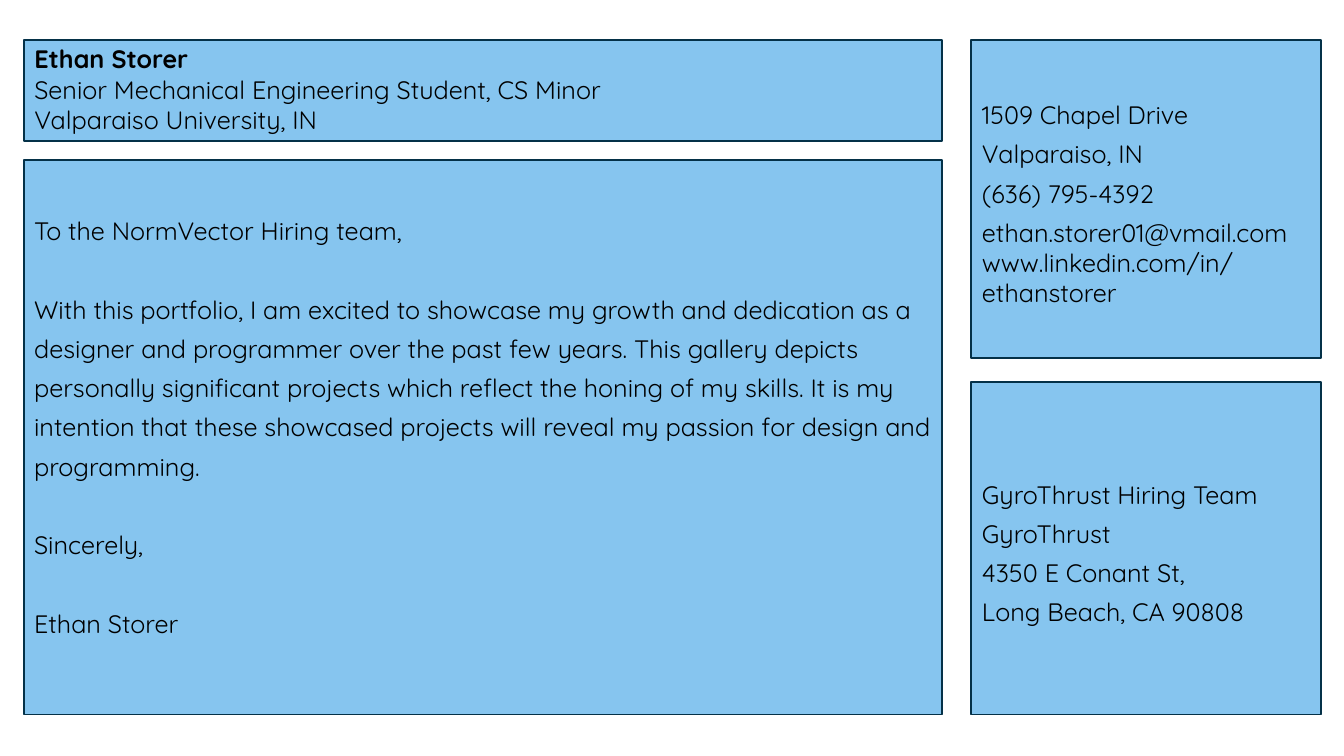
"""Build the cover letter slide of a student portfolio."""
from dataclasses import dataclass

from pptx import Presentation
from pptx.dml.color import RGBColor
from pptx.enum.shapes import MSO_SHAPE
from pptx.enum.text import MSO_ANCHOR, MSO_AUTO_SIZE, PP_ALIGN
from pptx.util import Inches, Pt

RECTANGLE = MSO_SHAPE.RECTANGLE
MIDDLE = MSO_ANCHOR.MIDDLE
NO_AUTOFIT = MSO_AUTO_SIZE.NONE
LEFT = PP_ALIGN.LEFT


@dataclass(frozen=True)
class Theme:
    panel: RGBColor = RGBColor.from_string("86C5EF")
    border: RGBColor = RGBColor.from_string("043148")
    text: RGBColor = RGBColor.from_string("000000")
    font: str = "Quicksand"
    size: Pt = Pt(18)
    border_width: Pt = Pt(1.25)
    blank_line: Pt = Pt(28)


THEME = Theme()
TIGHT, SINGLE, OPEN = 0.9, 1.0, 1.3


def fill_panel(panel, lines, left_inset=0.1, bottom_inset=0.05):
    """Style a panel and write its lines of (text, line spacing)."""
    panel.fill.solid()
    panel.fill.fore_color.rgb = THEME.panel
    panel.line.color.rgb = THEME.border
    panel.line.width = THEME.border_width
    frame = panel.text_frame
    frame.word_wrap = True
    frame.auto_size = NO_AUTOFIT
    frame.vertical_anchor = MIDDLE
    frame.margin_left = Inches(left_inset)
    frame.margin_bottom = Inches(bottom_inset)
    frame.text = "\n".join(text for text, _ in lines)
    for paragraph, (_, spacing) in zip(frame.paragraphs, lines):
        paragraph.alignment = LEFT
        paragraph.line_spacing = spacing
        paragraph.font.name = THEME.font
        paragraph.font.size = THEME.size
        paragraph.font.color.rgb = THEME.text
    return frame.paragraphs


def add_panel(left, top, width, height):
    """Add a plain rectangle, measured in inches."""
    panel = slide.shapes.add_shape(
        RECTANGLE, Inches(left), Inches(top), Inches(width), Inches(height))
    panel.shadow.inherit = False
    return panel


presentation = Presentation()
presentation.slide_width = Inches(13.33)
presentation.slide_height = Inches(7.5)
slide = presentation.slides.add_slide(presentation.slide_layouts[5])

main_left, main_width = 0.24, 9.1
side_left, side_width = 9.63, 3.47
top = 0.4

applicant = slide.shapes.title
applicant.left, applicant.top = Inches(main_left), Inches(top)
applicant.width, applicant.height = Inches(main_width), Inches(1)
applicant_lines = fill_panel(applicant, [
    ("Ethan Storer", TIGHT),
    ("Senior Mechanical Engineering Student, CS Minor", SINGLE),
    ("Valparaiso University, IN", SINGLE),
])
applicant_lines[0].font.bold = True

letter_lines = fill_panel(add_panel(main_left, 1.59, main_width, 5.5), [
    ("To the NormVector Hiring team,", OPEN),
    ("With this portfolio, I am excited to showcase my growth and dedication "
     "as a designer and programmer over the past few years. This gallery "
     "depicts personally significant projects which reflect the honing of my "
     "skills. It is my intention that these showcased projects will reveal my "
     "passion for design and programming.", OPEN),
    ("Sincerely,", OPEN),
    ("Ethan Storer", OPEN),
], bottom_inset=0.35)
for letter_line in letter_lines[1:]:
    letter_line.space_before = THEME.blank_line

fill_panel(add_panel(side_left, top, side_width, 3.15), [
    ("1509 Chapel Drive", OPEN),
    ("Valparaiso, IN", OPEN),
    ("(636) 795-4392", OPEN),
    ("ethan.storer01@vmail.com", OPEN),
    ("www.linkedin.com/in/ethanstorer", SINGLE),
], left_inset=0.11)

fill_panel(add_panel(side_left, 3.79, side_width, 3.3), [
    ("GyroThrust Hiring Team", OPEN),
    ("GyroThrust", OPEN),
    ("4350 E Conant St,", OPEN),
    ("Long Beach, CA 90808", OPEN),
], left_inset=0.11)

presentation.save("out.pptx")
